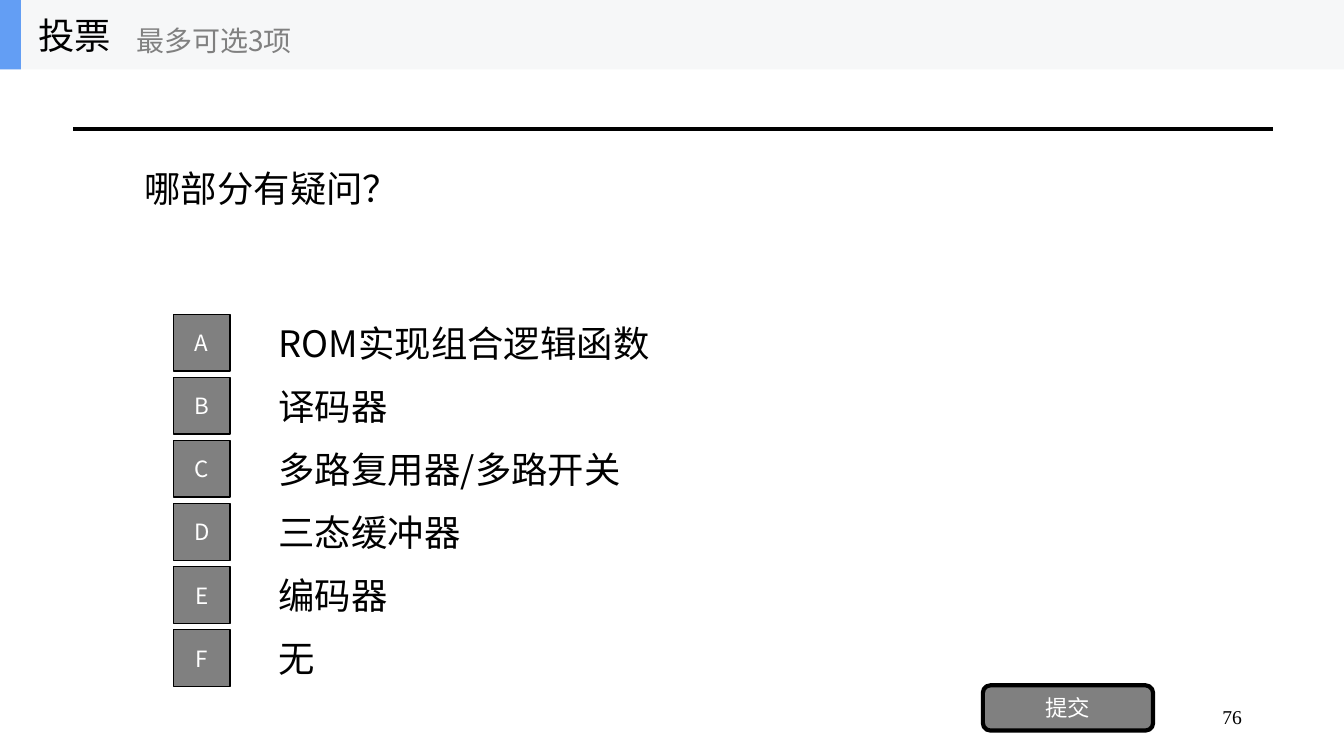
from dataclasses import dataclass

from lxml.etree import SubElement
from pptx import Presentation
from pptx.dml.color import RGBColor
from pptx.enum.shapes import MSO_CONNECTOR, MSO_SHAPE
from pptx.enum.text import MSO_ANCHOR, MSO_AUTO_SIZE, PP_ALIGN
from pptx.oxml.ns import qn
from pptx.shapes.autoshape import Shape
from pptx.slide import Slide
from pptx.util import Cm, Pt

COLOURS = {
    "black": "000000",
    "white": "FFFFFF",
    "grey": "808080",
    "header": "F6F7F8",
    "accent": "639EF4",
}
SANS = "Noto Sans CJK SC"
SERIF = "Times New Roman"
OPTIONS = ["ROM实现组合逻辑函数", "译码器", "多路复用器/多路开关", "三态缓冲器", "编码器", "无"]
OPTION_PITCH = 1.59
HEADER_HEIGHT = 1.75


@dataclass(frozen=True)
class Frame:
    """A position and size in centimetres."""

    left: float
    top: float
    width: float
    height: float

    def lengths(self) -> tuple[Cm, Cm, Cm, Cm]:
        """Return the frame as slide lengths."""
        return Cm(self.left), Cm(self.top), Cm(self.width), Cm(self.height)


@dataclass(frozen=True)
class Style:
    """The look of a piece of text."""

    size: int
    colour: str = "black"
    font: str = SANS
    align: PP_ALIGN = PP_ALIGN.LEFT
    anchor: MSO_ANCHOR = MSO_ANCHOR.MIDDLE


BODY = Style(26)
SUBTITLE = Style(20, "grey")
BUTTON = Style(16, "white", align=PP_ALIGN.CENTER)
NUMBER = Style(14, font=SERIF, align=PP_ALIGN.RIGHT, anchor=MSO_ANCHOR.TOP)


def colour(name: str) -> RGBColor:
    """Look up a named colour."""
    return RGBColor.from_string(COLOURS[name])


def write(box: Shape, text: str, style: Style) -> None:
    """Fill a shape with one styled paragraph."""
    frame = box.text_frame
    frame.text = text
    frame.word_wrap = True
    frame.auto_size = MSO_AUTO_SIZE.NONE
    frame.vertical_anchor = style.anchor
    para = frame.paragraphs[0]
    para.alignment = style.align
    span = para.runs[0]
    span.font.size = Pt(style.size)
    span.font.name = style.font
    span.font.color.rgb = colour(style.colour)
    SubElement(span.font._element, qn("a:ea"), typeface=style.font)


def add_text(page: Slide, frame: Frame, text: str, style: Style) -> None:
    """Add a text box."""
    write(page.shapes.add_textbox(*frame.lengths()), text, style)


def add_block(page: Slide, frame: Frame, fill: str, border: int = 0,
              kind: MSO_SHAPE = MSO_SHAPE.RECTANGLE) -> Shape:
    """Add a filled shape with an optional black border."""
    block = page.shapes.add_shape(kind, *frame.lengths())
    block.shadow.inherit = False
    block.fill.solid()
    block.fill.fore_color.rgb = colour(fill)
    if border:
        block.line.color.rgb = colour("black")
        block.line.width = Pt(border)
    else:
        block.line.fill.background()
    return block


def add_rule(page: Slide, left: float, right: float, top: float) -> None:
    """Add the thick horizontal rule."""
    rule = page.shapes.add_connector(
        MSO_CONNECTOR.STRAIGHT, Cm(left), Cm(top), Cm(right), Cm(top))
    rule.line.color.rgb = colour("black")
    rule.line.width = Pt(3)
    SubElement(rule.element.spPr, qn("a:effectLst"))


def add_header(page: Slide) -> None:
    """Add the header band with the title above it."""
    add_block(page, Frame(0, 0, 33.87, HEADER_HEIGHT), "header")
    add_block(page, Frame(0, 0, 0.53, HEADER_HEIGHT), "accent")
    title = page.shapes.title
    title.left, title.top, title.width, title.height = Frame(
        0.71, 0, 5.28, HEADER_HEIGHT).lengths()
    write(title, "投票", BODY)
    page.shapes.element.append(title.element)
    add_text(page, Frame(3.18, 0.31, 6.35, 1.42), "最多可选3项", SUBTITLE)


def add_option(page: Slide, index: int, text: str) -> None:
    """Add one lettered answer."""
    offset = index * OPTION_PITCH
    add_text(page, Frame(6.77, 7.75 + offset, 23.71, 1.78), text, BODY)
    letter = add_block(page, Frame(4.37, 7.92 + offset, 1.43, 1.43), "grey", 1)
    write(letter, "ABCDEF"[index], BUTTON)


def main() -> None:
    """Build and save the poll slide."""
    deck = Presentation()
    deck.slide_width, deck.slide_height = Cm(33.87), Cm(19.05)
    page = deck.slides.add_slide(deck.slide_layouts[5])
    add_rule(page, 1.85, 32.08, 3.25)
    add_text(page, Frame(23.93, 17.65, 7.62, 1.02), "76", NUMBER)
    add_text(page, Frame(3.39, 1.75, 27.09, 5.95), "哪部分有疑问？", BODY)
    for index, text in enumerate(OPTIONS):
        add_option(page, index, text)
    submit = add_block(page, Frame(24.77, 17.27, 4.29, 1.14), "grey", 3,
                       MSO_SHAPE.ROUNDED_RECTANGLE)
    write(submit, "提交", BUTTON)
    add_header(page)
    deck.save("out.pptx")


if __name__ == "__main__":
    main()
